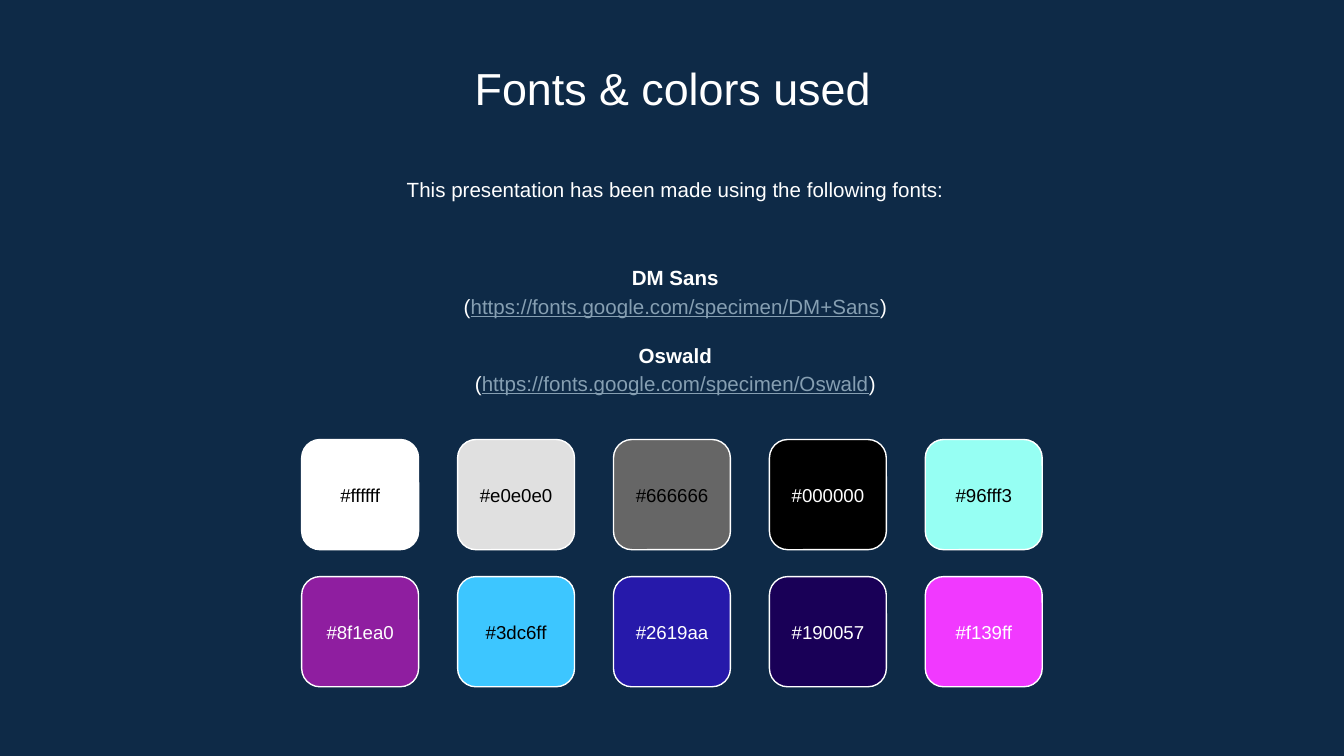
from dataclasses import dataclass
from lxml.etree import SubElement
from pptx import Presentation
from pptx.dml.color import RGBColor
from pptx.enum.shapes import MSO_SHAPE as Shape
from pptx.enum.text import MSO_ANCHOR as Anchor, MSO_AUTO_SIZE as AutoSize, PP_ALIGN as Align
from pptx.oxml.ns import qn
from pptx.slide import Slide
from pptx.util import Inches, Pt

COLORS = {"navy": "0E2A47", "white": "FFFFFF", "black": "000000", "link": "869FB2"}
COLUMNS = 100
ROWS = COLUMNS * 9 / 16
FONTS = {
    "DM Sans": "https://fonts.google.com/specimen/DM+Sans",
    "Oswald": "https://fonts.google.com/specimen/Oswald",
}
SWATCHES = [
    [("ffffff", "black"), ("e0e0e0", "black"), ("666666", "black"), ("000000", "white"), ("96fff3", "black")],
    [("8f1ea0", "white"), ("3dc6ff", "black"), ("2619aa", "white"), ("190057", "white"), ("f139ff", "white")],
]


@dataclass
class Page:
    """Draws styled elements on one slide, measured in grid columns and rows."""

    slide: Slide
    width: int
    height: int
    font: str = "Arial"

    def area(self, left, top, width, height):
        column, row = self.width / COLUMNS, self.height / ROWS
        return [round(n) for n in (left * column, top * row, width * column, height * row)]

    def background(self, color):
        self.slide.background.fill.solid()
        self.slide.background.fill.fore_color.rgb = RGBColor.from_string(COLORS[color])

    def frame(self, box, anchor):
        frame = box.text_frame
        frame.word_wrap = True
        frame.auto_size = AutoSize.NONE
        frame.vertical_anchor = anchor
        frame.margin_left = frame.margin_right = frame.margin_top = frame.margin_bottom = Inches(0.1)
        return frame

    def paragraph(self, para, spans, size, spacing=1.0, before=0):
        properties = para._p.get_or_add_pPr()
        properties.set("marL", "0")
        properties.set("indent", "0")
        SubElement(properties, qn("a:buNone"))
        para.alignment = Align.CENTER
        para.line_spacing = spacing
        para.space_before = Pt(before)
        for text, color, bold, underline in spans:
            span = para.add_run()
            span.text = text
            span.font.name = self.font
            span.font.size = Pt(size)
            span.font.bold = bold
            span.font.underline = underline
            span.font.color.rgb = RGBColor.from_string(COLORS[color])

    def place(self, holder, area):
        holder.left, holder.top, holder.width, holder.height = self.area(*area)

    def title(self, text, area):
        holder = self.slide.shapes.title
        self.place(holder, area)
        frame = self.frame(holder, Anchor.TOP)
        self.paragraph(frame.paragraphs[0], [(text, "white", False, False)], 24)

    def text(self, text, area, size, color="white", anchor=Anchor.MIDDLE, spacing=1.0):
        box = self.slide.shapes.add_textbox(*self.area(*area))
        frame = self.frame(box, anchor)
        self.paragraph(frame.paragraphs[0], [(text, color, False, False)], size, spacing)

    def font_list(self, fonts, area):
        holder = self.slide.placeholders[1]
        self.place(holder, area)
        frame = self.frame(holder, Anchor.MIDDLE)
        for index, (name, link) in enumerate(fonts.items()):
            heading = frame.add_paragraph() if index else frame.paragraphs[0]
            self.paragraph(heading, [(name, "white", True, False)], 11, 1.15, 11 if index else 0)
            spans = [("(", "white", False, False), (link, "link", False, True), (")", "white", False, False)]
            self.paragraph(frame.add_paragraph(), spans, 11, 1.15)

    def swatch(self, code, ink, left, top, width=8.7, height=8.2, label=4.8):
        tile = self.slide.shapes.add_shape(Shape.ROUNDED_RECTANGLE, *self.area(left, top, width, height))
        tile.shadow.inherit = False
        tile.fill.solid()
        tile.fill.fore_color.rgb = RGBColor.from_string(code.upper())
        tile.line.color.rgb = RGBColor.from_string(COLORS["white"])
        tile.line.width = Pt(0.75)
        self.text(f"#{code}", (left, top + (height - label) / 2, width, label), 10, ink)

    def palette(self, rows, top, column_step=11.6, row_step=10.2, width=8.7):
        for row, swatches in enumerate(rows):
            left = (COLUMNS - width - column_step * (len(swatches) - 1)) / 2
            for column, (code, ink) in enumerate(swatches):
                self.swatch(code, ink, left + column * column_step, top + row * row_step, width)


def main():
    deck = Presentation()
    deck.slide_width = Inches(10)
    deck.slide_height = deck.slide_width * 9 // 16
    page = Page(deck.slides.add_slide(deck.slide_layouts[1]), deck.slide_width, deck.slide_height)
    page.background("navy")
    page.title("Fonts & colors used", (11.5, 3.5, 77.1, 5.3))
    intro = "This presentation has been made using the following fonts:"
    page.text(intro, (11.7, 11.9, 77.1, 4.8), 11, anchor=Anchor.TOP, spacing=1.15)
    page.font_list(FONTS, (11.7, 17.6, 77.1, 13.7))
    page.palette(SWATCHES, top=32.7)
    deck.save("out.pptx")


if __name__ == "__main__":
    main()
